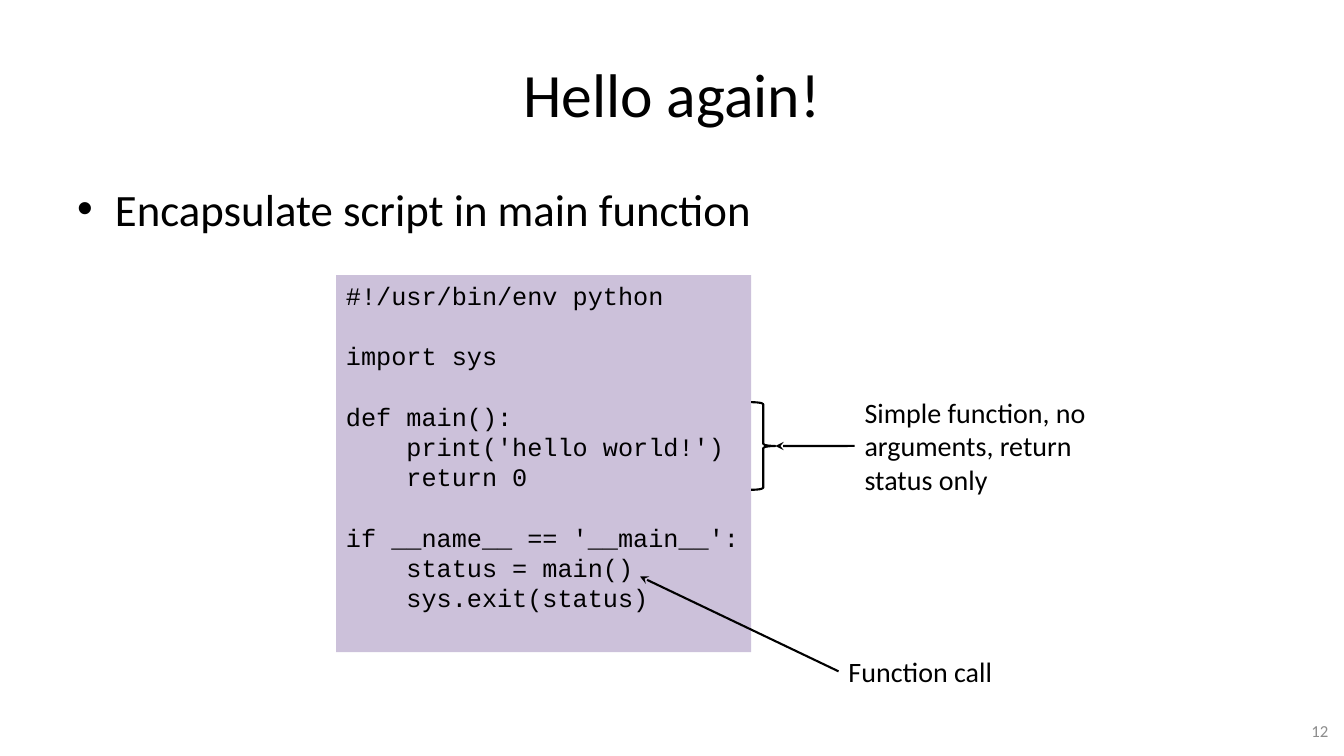
import pptx
import pptx.dml.color
import pptx.enum.shapes
import pptx.enum.text
import pptx.oxml
import pptx.oxml.ns
import pptx.util

Pt = pptx.util.Pt
RGBColor = pptx.dml.color.RGBColor
ALIGN = pptx.enum.text.PP_ALIGN
ANCHOR = pptx.enum.text.MSO_ANCHOR
SHAPE = pptx.enum.shapes.MSO_SHAPE

BLACK = RGBColor(0x00, 0x00, 0x00)
GREY = RGBColor(0x8C, 0x8C, 0x8C)
LILAC = RGBColor(0xCC, 0xC1, 0xDA)

TITLE = "Hello again!"
BULLET = "Encapsulate script in main function"
CODE = """#!/usr/bin/env python

import sys

def main():
    print('hello world!')
    return 0

if __name__ == '__main__':
    status = main()
    sys.exit(status)""".split("\n")
FUNCTION_NOTE = "Simple function, no arguments, return\vstatus only"
CALL_NOTE = "Function call"
PAGE = "12"

# Left, top, width, height in points
TITLE_AREA = (48, 21.6, 864, 90)
BULLET_AREA = (48, 126, 864, 356.4)
CODE_AREA = (240, 196.6, 296.6, 269.3)
BRACE_AREA = (536.6, 287.3, 17.3, 62.6)
FUNCTION_AREA = (610.5, 278.6, 187.2, 79.9)
CALL_AREA = (599, 463.7, 226.8, 31.7)
PAGE_AREA = (732, 507.6, 224, 28.8)
CALL_TARGET = (457.2, 411.8)

BODY = {"name": "Calibri", "size": Pt(32)}
MONO = {"name": "Courier New", "size": Pt(18)}
NOTE = {"name": "Calibri", "size": Pt(20)}
HEADING = {"name": "Calibri", "size": Pt(44)}
FOOTER = {"name": "Calibri", "size": Pt(12)}


def points(values):
    return [Pt(value) for value in values]


def write(shape, lines, style, color=BLACK, align=ALIGN.LEFT, anchor=ANCHOR.TOP, wrap=True):
    """Fill a shape with one paragraph per line; an empty code line keeps its font."""
    frame = shape.text_frame
    frame.word_wrap = wrap
    frame.vertical_anchor = anchor
    for index, line in enumerate(lines):
        paragraph = frame.add_paragraph() if index else frame.paragraphs[0]
        paragraph.text = line
        paragraph.alignment = align
        for run in paragraph.runs or [paragraph.add_run()]:
            for attribute, value in style.items():
                setattr(run.font, attribute, value)
            run.font.color.rgb = color


def add_text(slide, area, text, style, **options):
    box = slide.shapes.add_textbox(*points(area))
    write(box, [text], style, **options)
    return box


def add_plain_shape(slide, kind, area):
    shape = slide.shapes.add_shape(kind, *points(area))
    shape.shadow.inherit = False
    return shape


def add_arrow(slide, start, end):
    arrow = slide.shapes.add_connector(
        pptx.enum.shapes.MSO_CONNECTOR.STRAIGHT, *points(start + end))
    arrow.line.color.rgb = BLACK
    arrow.line.width = Pt(1.5)
    properties = arrow.line._get_or_add_ln()
    head = pptx.oxml.parse_xml(
        f'<a:tailEnd {pptx.oxml.ns.nsdecls("a")} type="stealth" w="med" len="med"/>')
    properties.append(head)
    properties.getparent().append(
        pptx.oxml.parse_xml(f'<a:effectLst {pptx.oxml.ns.nsdecls("a")}/>'))


def add_bullet(paragraph, indent):
    properties = paragraph._p.get_or_add_pPr()
    properties.set("marL", str(Pt(indent)))
    properties.set("indent", str(-Pt(indent)))
    for tag, attribute in (("buFont", 'typeface="Arial"'), ("buChar", 'char="•"')):
        properties.append(pptx.oxml.parse_xml(
            f'<a:{tag} {pptx.oxml.ns.nsdecls("a")} {attribute}/>'))


def middle_left(area):
    left, top, _, height = area
    return left, top + height / 2


def main():
    deck = pptx.Presentation()
    deck.slide_width, deck.slide_height = Pt(960), Pt(540)
    slide = deck.slides.add_slide(deck.slide_layouts.get_by_name("Title Only"))

    title = slide.shapes.title
    title.left, title.top, title.width, title.height = points(TITLE_AREA)
    write(title, [TITLE], HEADING, align=ALIGN.CENTER, anchor=ANCHOR.MIDDLE)

    bullet = add_text(slide, BULLET_AREA, BULLET, BODY)
    add_bullet(bullet.text_frame.paragraphs[0], 27)

    code = add_plain_shape(slide, SHAPE.RECTANGLE, CODE_AREA)
    code.fill.solid()
    code.fill.fore_color.rgb = LILAC
    code.line.fill.background()
    write(code, CODE, MONO, wrap=False)

    add_text(slide, CALL_AREA, CALL_NOTE, NOTE)
    add_arrow(slide, middle_left(CALL_AREA), CALL_TARGET)

    add_text(slide, FUNCTION_AREA, FUNCTION_NOTE, NOTE)
    brace = add_plain_shape(slide, SHAPE.RIGHT_BRACE, BRACE_AREA)
    brace.fill.background()
    brace.line.color.rgb = BLACK
    brace.line.width = Pt(1.5)
    brace_left, brace_middle = middle_left(BRACE_AREA)
    brace_tip = (brace_left + BRACE_AREA[2], brace_middle)
    add_arrow(slide, middle_left(FUNCTION_AREA), brace_tip)

    add_text(slide, PAGE_AREA, PAGE, FOOTER, color=GREY,
             align=ALIGN.RIGHT, anchor=ANCHOR.MIDDLE)
    deck.save("out.pptx")


if __name__ == "__main__":
    main()
